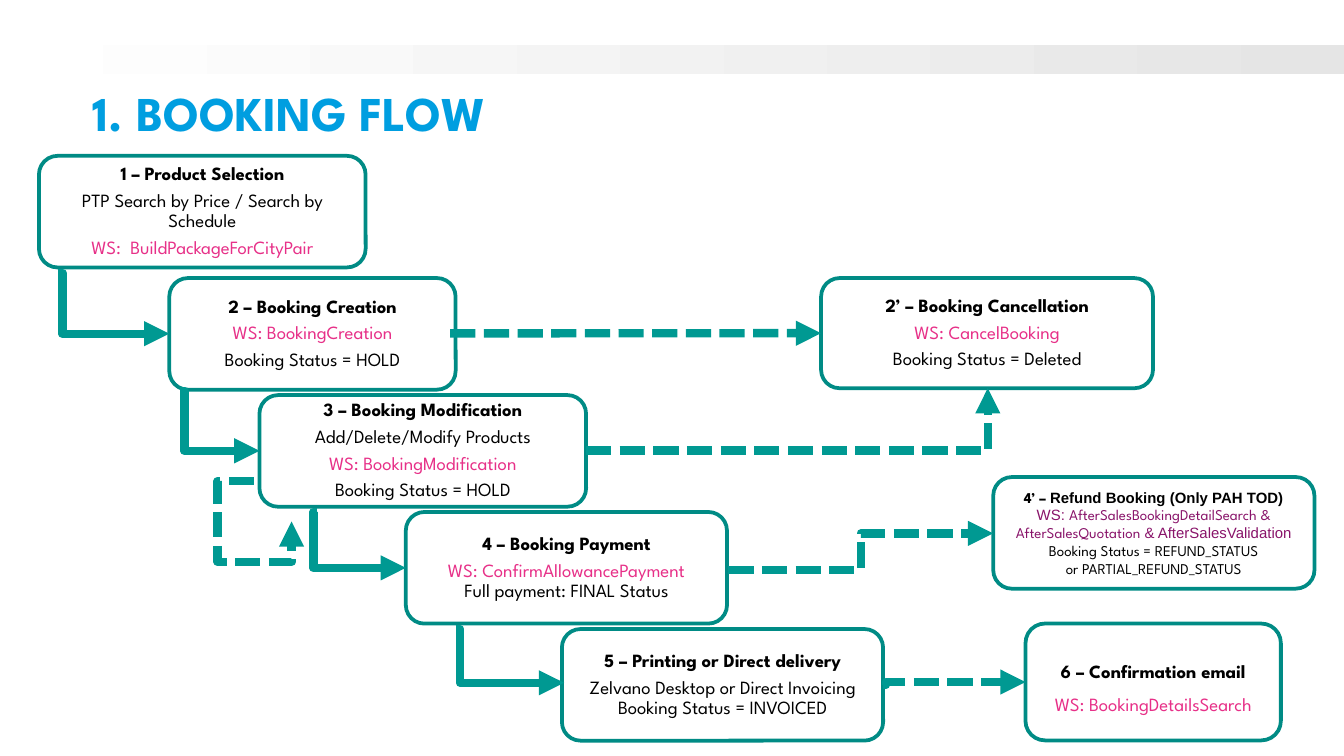
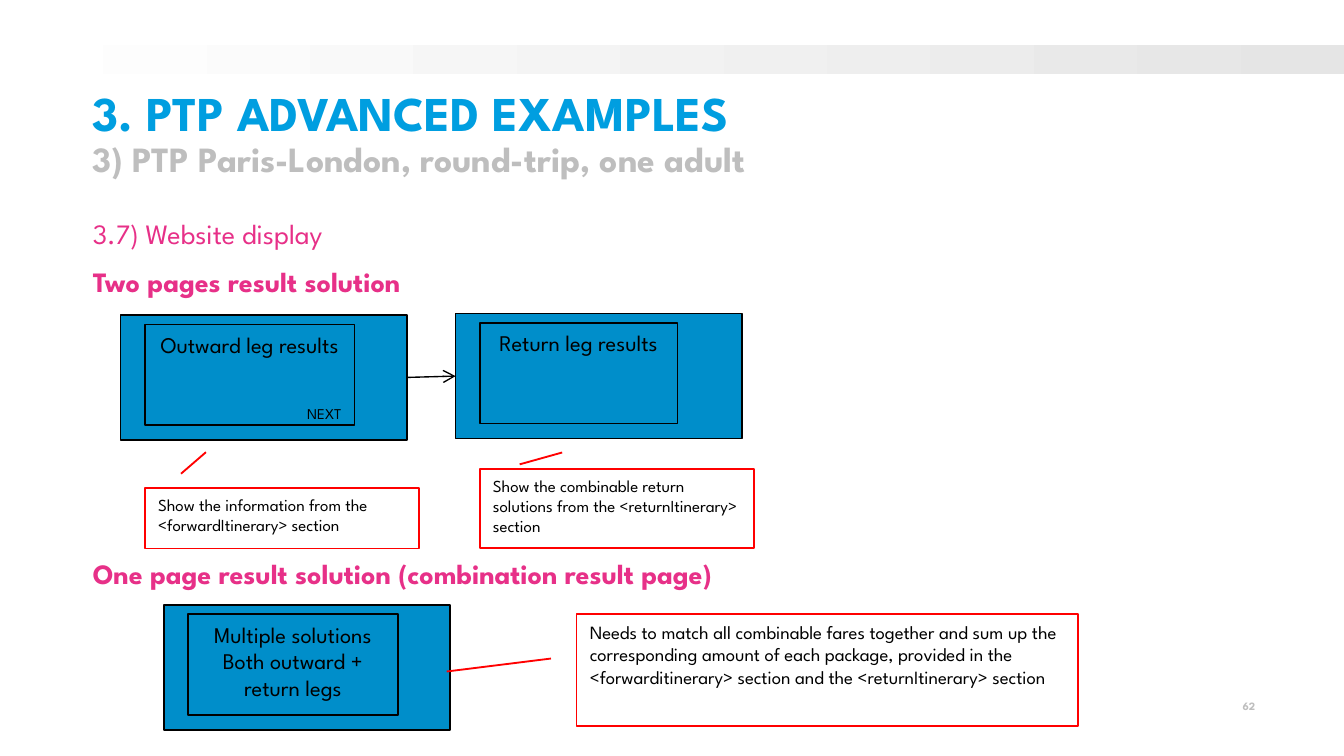
from collections import namedtuple

from lxml.etree import SubElement
from pptx import Presentation
from pptx.dml.color import RGBColor
from pptx.enum.dml import MSO_LINE
from pptx.enum.shapes import MSO_CONNECTOR, MSO_SHAPE
from pptx.enum.text import MSO_ANCHOR, MSO_AUTO_SIZE, PP_ALIGN
from pptx.oxml.ns import qn
from pptx.util import Pt

BLACK = RGBColor(0x00, 0x00, 0x00)
WHITE = RGBColor(0xFF, 0xFF, 0xFF)
BAND_GRAY = RGBColor(0xE5, 0xE5, 0xE5)
TEXT_GRAY = RGBColor(0xBE, 0xBE, 0xBE)
TITLE_BLUE = RGBColor(0x00, 0x9E, 0xE0)
SCREEN_BLUE = RGBColor(0x00, 0x8E, 0xCA)
BOX_TEAL = RGBColor(0x00, 0x8B, 0x85)
ARROW_TEAL = RGBColor(0x00, 0x99, 0x92)
PINK = RGBColor(0xE7, 0x30, 0x88)
PURPLE = RGBColor(0x89, 0x14, 0x6A)
RED = RGBColor(0xFF, 0x00, 0x00)

FONT = "League Spartan"
SECOND_FONT = "Arial"

Box = namedtuple("Box", "left top width height")

SLIDE = Box(0, 0, 720, 405)
TITLE = Box(49.7, 48.2, 623.5, 54)

STEPS = {
    "selection": (Box(20.9, 83.5, 175, 59.8), [
        "1 – Product Selection",
        "PTP Search by Price / Search by Schedule",
        "WS:  BuildPackageForCityPair"]),
    "creation": (Box(90.7, 149, 153.4, 59.8), [
        "2 – Booking Creation",
        "WS: BookingCreation",
        "Booking Status = HOLD"]),
    "modification": (Box(139, 211.7, 175, 59.8), [
        "3 – Booking Modification",
        "Add/Delete/Modify Products",
        "WS: BookingModification",
        "Booking Status = HOLD"]),
    "payment": (Box(217.4, 274.3, 172.1, 59.8), [
        "4 – Booking Payment",
        "WS: ConfirmAllowancePayment\vFull payment: FINAL Status"]),
    "delivery": (Box(301, 337, 172.1, 59.8), [
        "5 – Printing or Direct delivery",
        "Zelvano Desktop or Direct Invoicing\vBooking Status = INVOICED"]),
    "confirmation": (Box(549.4, 334.1, 136.8, 62.6), [
        "6 – Confirmation email\vWS: BookingDetailsSearch"]),
    "cancellation": (Box(439.9, 149, 177.8, 59), [
        "2’ – Booking Cancellation",
        "WS: CancelBooking",
        "Booking Status = Deleted"]),
}

REFUND_BOX = Box(532.1, 255.6, 172.1, 59.8)
REFUND_LINES = [
    (BLACK, True, [("4’ – ", FONT), ("Refund Booking (Only PAH TOD)", SECOND_FONT)]),
    (PURPLE, False, [("WS: ", SECOND_FONT), ("AfterSalesBookingDetailSearch &", FONT)]),
    (PURPLE, False, [("AfterSalesQuotation ", FONT), ("& AfterSalesValidation", SECOND_FONT)]),
    (BLACK, False, [("Booking Status = REFUND_STATUS", FONT)]),
    (BLACK, False, [("or PARTIAL_REFUND_STATUS", FONT)]),
]

ELBOWS = [
    ((31, 146.2), (90.7, 178.8), 0.041, False),
    ((96.5, 209.5), (139, 241.5), 0.055, False),
    ((169.9, 274.3), (217.4, 304.2), -0.043, False),
    ((244.1, 337), (302.2, 365.8), 0.042, False),
    ((473, 366.9), (549.4, 365.4), 0.022, True),
    ((390.2, 305.3), (532.1, 285.8), 0.5, True),
]
MODIFICATION_LOOP = [(136.1, 257.8), (116.6, 257.8), (116.6, 301), (156.2, 301), (156.2, 279.4)]


def format_run(run, size, color=BLACK, bold=False, font=FONT):
    run.font.size = Pt(size)
    run.font.name = font
    run.font.bold = bold
    run.font.color.rgb = color


def format_paragraph(paragraph, alignment, line_spacing=1.0, after=0, before=0):
    paragraph.alignment = alignment
    paragraph.line_spacing = line_spacing
    paragraph.space_after = Pt(after)
    paragraph.space_before = Pt(before)


def set_margins(text_frame, horizontal, vertical):
    text_frame.margin_left = text_frame.margin_right = Pt(horizontal)
    text_frame.margin_top = text_frame.margin_bottom = Pt(vertical)


def add_box(slide, kind, box, fill, line, line_width):
    shape = slide.shapes.add_shape(kind, *map(Pt, box))
    shape.shadow.inherit = False
    shape.fill.solid()
    shape.fill.fore_color.rgb = fill
    shape.line.color.rgb = line
    shape.line.width = Pt(line_width)
    shape.text_frame.word_wrap = True
    return shape


def add_band(slide, box):
    band = slide.shapes.add_shape(MSO_SHAPE.RECTANGLE, *map(Pt, box))
    band.shadow.inherit = False
    band.line.fill.background()
    band.fill.gradient()
    band.fill.gradient_angle = 0
    for stop, color in zip(band.fill.gradient_stops, (WHITE, BAND_GRAY)):
        stop.color.rgb = color


def place_placeholder(placeholder, box, lines):
    placeholder.left, placeholder.top, placeholder.width, placeholder.height = map(Pt, box)
    text_frame = placeholder.text_frame
    text_frame.text = "\n".join(lines)
    text_frame.word_wrap = True
    text_frame.auto_size = MSO_AUTO_SIZE.NONE
    text_frame.vertical_anchor = MSO_ANCHOR.TOP
    set_margins(text_frame, 0, 0)
    return text_frame.paragraphs


def add_slide(presentation, layout_index, lines):
    slide = presentation.slides.add_slide(presentation.slide_layouts[layout_index])
    add_band(slide, Box(SLIDE.left, 24.3, SLIDE.width, 15.6))
    paragraphs = place_placeholder(slide.shapes.title, TITLE, lines)
    for paragraph, (size, color) in zip(paragraphs, ((26, TITLE_BLUE), (19, TEXT_GRAY))):
        format_paragraph(paragraph, PP_ALIGN.LEFT, 0.9)
        format_run(paragraph.runs[0], size, color, True)
    return slide


def add_step_box(slide, box):
    shape = add_box(slide, MSO_SHAPE.ROUNDED_RECTANGLE, box, WHITE, BOX_TEAL, 2)
    shape.adjustments[0] = 0.167
    shape.text_frame.vertical_anchor = MSO_ANCHOR.MIDDLE
    set_margins(shape.text_frame, 3.6, 3.6)
    return shape


def add_step(slide, box, lines):
    shape = add_step_box(slide, box)
    shape.text_frame.text = "\n".join(lines)
    line_spacing = 1.5 if len(lines) == 1 else 0.9
    for row, paragraph in enumerate(shape.text_frame.paragraphs):
        format_paragraph(paragraph, PP_ALIGN.CENTER, line_spacing, 3.5)
        for position, run in enumerate(paragraph.runs):
            color = PINK if run.text.startswith("WS:") else BLACK
            format_run(run, 10, color, row == position == 0)
        for line_break in paragraph._p.findall(qn("a:br")):
            SubElement(line_break, qn("a:rPr"), sz="1000")
    return shape


def add_refund_step(slide, box):
    text_frame = add_step_box(slide, box).text_frame
    text_frame.text = "\n" * (len(REFUND_LINES) - 1)
    for paragraph, (color, bold, parts) in zip(text_frame.paragraphs, REFUND_LINES):
        format_paragraph(paragraph, PP_ALIGN.CENTER)
        for text, font in parts:
            run = paragraph.add_run()
            run.text = text
            format_run(run, 8, color, bold, font)


def style_arrow(shape, color, width, head, dashed=False):
    shape.line.color.rgb = color
    shape.line.width = Pt(width)
    if dashed:
        shape.line.dash_style = MSO_LINE.SQUARE_DOT
    properties = shape._element.spPr
    SubElement(properties.find(qn("a:ln")), qn("a:tailEnd"), type=head)
    if properties.find(qn("a:effectLst")) is None:
        SubElement(properties, qn("a:effectLst"))


def add_arrow(slide, kind, start, end, dashed=False, color=ARROW_TEAL, width=4.5, head="triangle"):
    arrow = slide.shapes.add_connector(kind, *map(Pt, start + end))
    style_arrow(arrow, color, width, head, dashed)
    return arrow


def add_elbow(slide, start, end, bend, dashed):
    geometry = add_arrow(slide, MSO_CONNECTOR.ELBOW, start, end, dashed)._element.spPr.find(qn("a:prstGeom"))
    if bend is None:
        geometry.set("prst", "bentConnector2")
        return
    guides = geometry.find(qn("a:avLst"))
    if guides is None:
        guides = SubElement(geometry, qn("a:avLst"))
    SubElement(guides, qn("a:gd"), name="adj1", fmla=f"val {round(bend * 100000)}")


def add_loop(slide, points):
    corners = [tuple(map(Pt, point)) for point in points]
    builder = slide.shapes.build_freeform(*corners[0])
    builder.add_line_segments(corners[1:], close=False)
    loop = builder.convert_to_shape()
    loop.shadow.inherit = False
    loop.fill.background()
    style_arrow(loop, ARROW_TEAL, 4.5, "triangle", True)


def build_flow_slide(presentation):
    slide = add_slide(presentation, 5, ["1. BOOKING FLOW"])
    steps = {name: add_step(slide, box, lines) for name, (box, lines) in STEPS.items()}
    add_refund_step(slide, REFUND_BOX)
    add_loop(slide, MODIFICATION_LOOP)
    cancel_arrow = add_arrow(slide, MSO_CONNECTOR.STRAIGHT, (241.2, 178.6), (439.9, 178.5), True)
    cancel_arrow.end_connect(steps["cancellation"], 1)
    add_elbow(slide, (313.9, 241.5), (529.2, 208), None, True)
    for elbow in ELBOWS:
        add_elbow(slide, *elbow)


def add_screen(slide, box, inner_width, lines, line_width=0.75):
    frame = add_box(slide, MSO_SHAPE.RECTANGLE, box, SCREEN_BLUE, BLACK, line_width)
    panel_box = Box(box.left + 13, box.top + 5, inner_width, 54)
    panel = add_box(slide, MSO_SHAPE.RECTANGLE, panel_box, SCREEN_BLUE, BLACK, line_width)
    panel.text_frame.vertical_anchor = MSO_ANCHOR.TOP
    panel.text_frame.text = "\n".join(lines)
    for paragraph in panel.text_frame.paragraphs:
        format_paragraph(paragraph, PP_ALIGN.CENTER)
        format_run(paragraph.runs[0], 12)
    return frame


def add_callout(slide, box, pointer, text, size):
    callout = add_box(slide, MSO_SHAPE.LINE_CALLOUT_1, box, WHITE, RED, 1)
    for index, value in enumerate(pointer):
        callout.adjustments[index] = value
    callout.text_frame.vertical_anchor = MSO_ANCHOR.TOP
    callout.text_frame.text = text
    paragraph = callout.text_frame.paragraphs[0]
    format_paragraph(paragraph, PP_ALIGN.LEFT)
    format_run(paragraph.runs[0], size)


def add_label(slide, box, text, size, color=BLACK, bold=False, alignment=PP_ALIGN.LEFT, margins=(7.2, 3.6)):
    label = slide.shapes.add_textbox(*map(Pt, box))
    label.text_frame.word_wrap = True
    label.text_frame.text = text
    set_margins(label.text_frame, *margins)
    paragraph = label.text_frame.paragraphs[0]
    paragraph.alignment = alignment
    format_run(paragraph.runs[0], size, color, bold)


def add_headings(slide, box):
    paragraphs = place_placeholder(slide.placeholders[1], box, [
        "3.7) Website display",
        "Two pages result solution",
        "One page result solution (combination result page)"])
    for paragraph, before, bold in zip(paragraphs, (0, 0, 130), (False, True, True)):
        format_paragraph(paragraph, PP_ALIGN.LEFT, after=8, before=before)
        format_run(paragraph.runs[0], 15, PINK, bold)
        properties = paragraph._p.get_or_add_pPr()
        properties.set("marL", "0")
        properties.set("indent", "0")
        SubElement(properties, qn("a:buNone"))


def build_display_slide(presentation):
    slide = add_slide(presentation, 1, [
        "3. PTP ADVANCED EXAMPLES", "3) PTP Paris-London, round-trip, one adult"])
    add_headings(slide, Box(TITLE.left, 115.9, TITLE.width, 28.8))
    add_label(slide, Box(617.8, 374.4, 54.7, 20.2), "62", 6, TEXT_GRAY, True, PP_ALIGN.RIGHT, (0, 0))

    outward_box = Box(64.6, 168.7, 153.4, 67)
    return_screen = add_screen(slide, Box(244.1, 168, 153.4, 67), 105.8, ["Return leg results"])
    outward_screen = add_screen(slide, outward_box, 112.3, ["Outward leg results"])
    add_label(slide, Box(outward_box.left + 92.9, outward_box.top + 44.6, 41, 17.3), "NEXT", 8)
    next_arrow = add_arrow(slide, MSO_CONNECTOR.STRAIGHT, (218, 202.2), (244.1, 201.5),
                           color=BLACK, width=0.75, head="arrow")
    next_arrow.begin_connect(outward_screen, 3)
    next_arrow.end_connect(return_screen, 1)
    add_screen(slide, Box(87.8, 324, 153.4, 67), 112.3,
               ["Multiple solutions", "Both outward + return legs"], 1)

    add_callout(slide, Box(77.6, 261.4, 146.9, 32.4), (-0.236, 0.132, -0.592, 0.223),
                "Show the information from the <forwardItinerary> section", 9)
    add_callout(slide, Box(257, 251.3, 146.9, 42.5), (-0.06, 0.146, -0.209, 0.301),
                "Show the combinable return solutions from the <returnItinerary> section", 9)
    add_callout(slide, Box(308.9, 329, 268.6, 59.8), (0.399, -0.051, 0.515, -0.259),
                "Needs to match all combinable fares together and sum up the corresponding amount of each "
                "package, provided in the <forwarditinerary> section and the <returnItinerary> section", 10)


def main():
    presentation = Presentation()
    presentation.slide_width = Pt(SLIDE.width)
    presentation.slide_height = Pt(SLIDE.height)
    build_flow_slide(presentation)
    build_display_slide(presentation)
    presentation.save("out.pptx")


if __name__ == "__main__":
    main()
